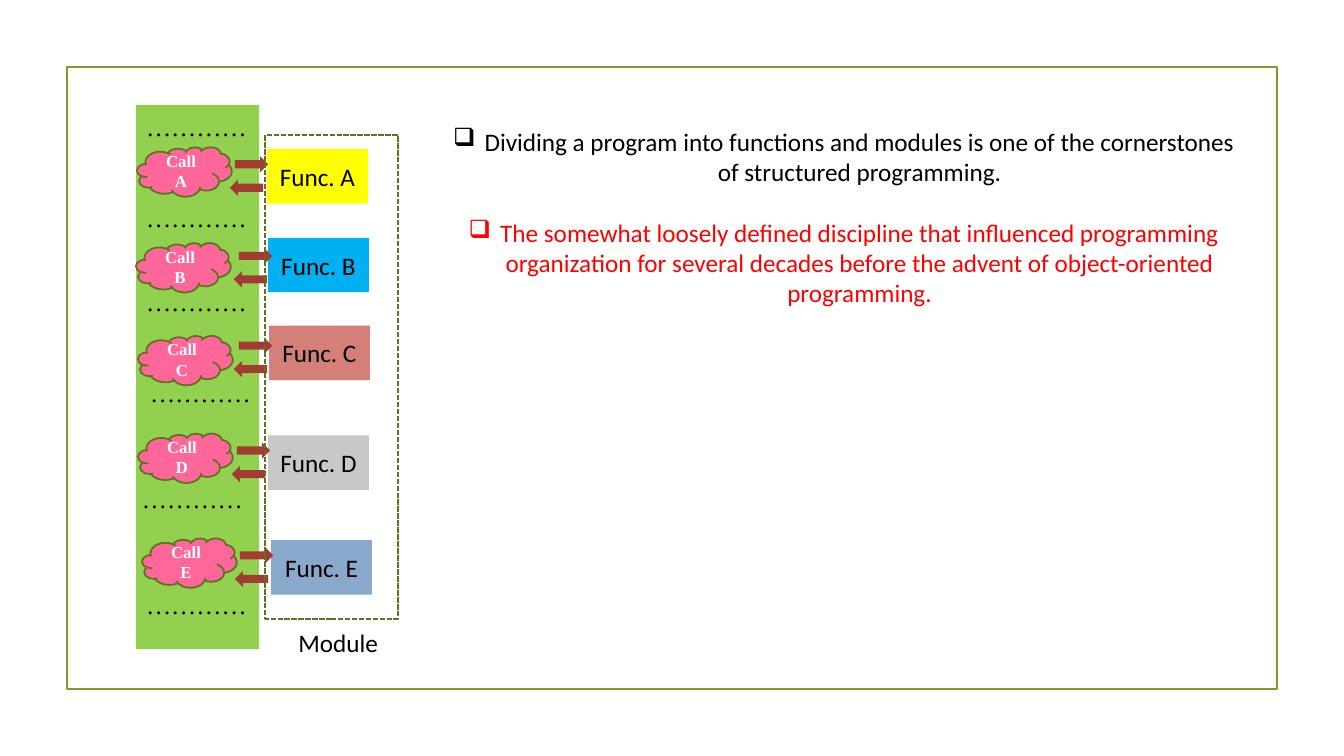
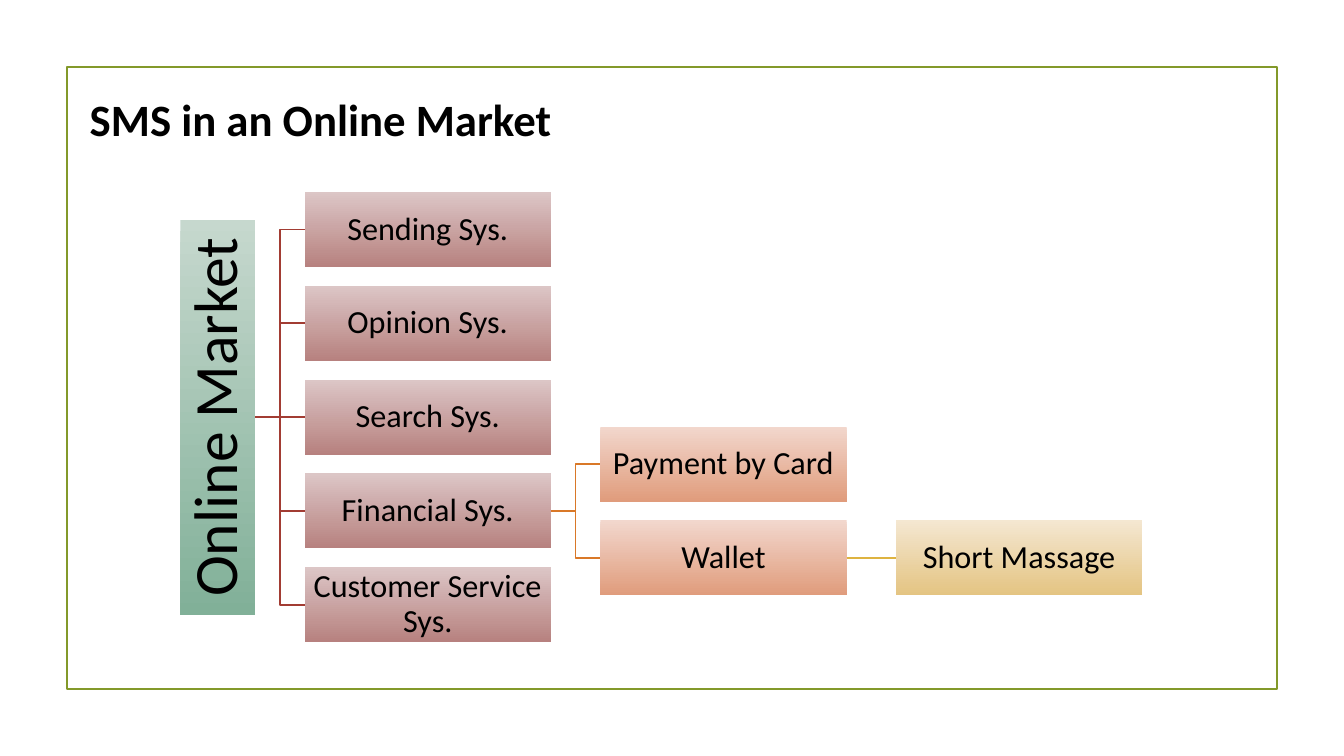
from lxml import etree
from pptx import Presentation
from pptx.dml.color import RGBColor
from pptx.enum.dml import MSO_LINE
from pptx.enum.shapes import MSO_CONNECTOR, MSO_SHAPE
from pptx.enum.text import MSO_ANCHOR, PP_ALIGN
from pptx.oxml.ns import qn
from pptx.util import Pt

RECT, CLOUD = MSO_SHAPE.RECTANGLE, MSO_SHAPE.CLOUD
RIGHT_ARROW, LEFT_ARROW = MSO_SHAPE.RIGHT_ARROW, MSO_SHAPE.LEFT_ARROW
SYS_DASH = MSO_LINE.SQUARE_DOT
LEFT, CENTER = PP_ALIGN.LEFT, PP_ALIGN.CENTER
TOP, MIDDLE = MSO_ANCHOR.TOP, MSO_ANCHOR.MIDDLE
SIDE_LEFT, SIDE_RIGHT = 1, 3

COLORS = {
    "black": "000000", "white": "FFFFFF", "red": "FF0000",
    "frame": "83992A", "olive": "61711F", "program": "92D050",
    "cloud": "FF6699", "brick": "A23C33", "orange": "D97828", "gold": "DEB340",
    "yellow": "FFFF00", "blue": "00B0F0", "rose": "D47F77",
    "gray": "C8C8C8", "steel": "88A9CB",
}
SANS, SERIF = "Calibri", "Times New Roman"
LINE_WIDTH = 1.25
FRAME = (48, 48, 864, 444)

# Slide 1: letter, colour, then left and top of function box, cloud and call arrow
CALLS = [
    ("A", "yellow", (190.8, 106.6), (97.9, 105.1), (167.8, 111.6)),
    ("B", "blue", (191.5, 169.9), (97.2, 173.5), (170.6, 177.1)),
    ("C", "rose", (192.2, 232.6), (98.6, 239.8), (170.6, 241.2)),
    ("D", "gray", (191.5, 311), (98.6, 309.6), (169.2, 316.1)),
    ("E", "steel", (193.7, 385.9), (101.5, 384.5), (171.4, 391)),
]
DOTS = "…………"
DOTS_AT = [(97.2, 75.6), (97.2, 141.1), (97.2, 200.9),
           (100.1, 265.7), (94.3, 342), (97.2, 417.6)]
PROGRAM = (97.2, 75, 88, 388.8)
MODULE = (189.4, 96.5, 95, 345.6)
FUNCTION_SIZE, CLOUD_SIZE = (72, 38.9), (67.7, 35.3)
ARROW_SIZE, DOTS_SIZE = (23.8, 11.5), (87.8, 29)
RETURN_SHIFT = (-3.6, 16.8)
POINTS = [
    ("Dividing a program into functions and modules is one of the "
     "cornerstones of structured programming.", "black"),
    ("The somewhat loosely defined discipline that influenced programming "
     "organization for several decades before the advent of object-oriented "
     "programming.", "red"),
]

# Slide 2: each node is a name and its children
MARKET_TREE = ("Online Market", [
    ("Sending Sys.", []),
    ("Opinion Sys.", []),
    ("Search Sys.", []),
    ("Financial Sys.", [
        ("Payment by Card", []),
        ("Wallet", [("Short Massage", [])]),
    ]),
    ("Customer Service Sys.", []),
])
# Per level: gradient start and end, colour of the link from the parent
LEVELS = [
    ("C6D8CE", "81B098", None),
    ("DCC6C6", "B7817F", "brick"),
    ("F2D7CD", "E09C7C", "orange"),
    ("F4E7D1", "E4C482", "gold"),
]
ROOT_LEFT, ROOT_HEIGHT, TREE_MIDDLE = 128.8, 282.2, 298
NODE_WIDTH, NODE_HEIGHT = 176, 53.6
LEVEL_GAP, ROW_STEP = 35.2, 67


def rgb(name):
    return RGBColor.from_string(COLORS[name])


def add_shape(page, kind, place, fill=None, line=None, dash=None):
    shape = page.shapes.add_shape(kind, *map(Pt, place))
    shape.shadow.inherit = False
    if fill:
        shape.fill.solid()
        shape.fill.fore_color.rgb = rgb(fill)
    else:
        shape.fill.background()
    if line:
        shape.line.color.rgb = rgb(line)
        shape.line.width = Pt(LINE_WIDTH)
        if dash:
            shape.line.dash_style = dash
    else:
        shape.line.fill.background()
    return shape


def add_text(box, text, *, size=18, font=SANS, color="black", bold=False,
             align=CENTER, anchor=MIDDLE, inset=None, spacing=None,
             before=None, bullet=None, indent=22.5):
    """Fill the box's empty first paragraph, or append a further one."""
    frame = box.text_frame
    para = frame.add_paragraph() if frame.text else frame.paragraphs[0]
    frame.word_wrap = True
    frame.vertical_anchor = anchor
    if inset is not None:
        frame.margin_left = frame.margin_right = Pt(inset)
        frame.margin_top = frame.margin_bottom = Pt(inset)
    if bullet:
        props = para._p.get_or_add_pPr()
        props.set("marL", str(Pt(indent)))
        props.set("indent", str(-Pt(indent)))
        etree.SubElement(props, qn("a:buChar")).set("char", bullet)
    para.alignment = align
    if spacing:
        para.line_spacing = spacing
    if before:
        para.space_before = Pt(before)
    span = para.add_run()
    span.text = text
    span.font.name = font
    span.font.size = Pt(size)
    span.font.bold = bold
    span.font.color.rgb = rgb(color)


def add_text_box(page, place):
    return page.shapes.add_textbox(*map(Pt, place))


def add_page(deck):
    page = deck.slides.add_slide(deck.slide_layouts[6])
    add_shape(page, RECT, FRAME, line="frame")
    return page


def build_functions_page(deck):
    page = add_page(deck)
    add_shape(page, RECT, PROGRAM, fill="program")
    for spot in DOTS_AT:
        add_text(add_text_box(page, spot + DOTS_SIZE), DOTS,
                 font=SERIF, align=LEFT, anchor=TOP)
    for letter, color, function_at, cloud_at, arrow_at in CALLS:
        function = add_shape(page, RECT, function_at + FUNCTION_SIZE, fill=color)
        add_text(function, f"Func. {letter}")
        return_at = tuple(a + b for a, b in zip(arrow_at, RETURN_SHIFT))
        add_shape(page, RIGHT_ARROW, arrow_at + ARROW_SIZE, fill="brick")
        add_shape(page, LEFT_ARROW, return_at + ARROW_SIZE, fill="brick")
        cloud = add_shape(page, CLOUD, cloud_at + CLOUD_SIZE,
                          fill="cloud", line="olive")
        add_text(cloud, f"Call {letter}", size=12, font=SERIF,
                 color="white", bold=True)
    add_shape(page, RECT, MODULE, line="olive", dash=SYS_DASH)
    add_text(add_text_box(page, (206, 444.2, 78.5, 29)), "Module",
             align=LEFT, anchor=TOP)
    points_box = add_text_box(page, (308.2, 86.4, 589, 138.2))
    for index, (text, color) in enumerate(POINTS):
        add_text(points_box, text, color=color, anchor=TOP, bullet="❑",
                 before=22 if index else None)


def link(page, parent, child, color, straight):
    kind = MSO_CONNECTOR.STRAIGHT if straight else MSO_CONNECTOR.ELBOW
    line = page.shapes.add_connector(kind, 0, 0, 0, 0)
    line.begin_connect(parent, SIDE_RIGHT)
    line.end_connect(child, SIDE_LEFT)
    line.line.color.rgb = rgb(color)
    line.line.width = Pt(LINE_WIDTH)
    etree.SubElement(line._element.spPr, qn("a:effectLst"))


def add_branch(page, node, level=0, left=ROOT_LEFT, middle=TREE_MIDDLE):
    """Draw a node, then its children centred on it one level to the right."""
    name, children = node
    is_root = level == 0
    width, height = ((NODE_HEIGHT, ROOT_HEIGHT) if is_root
                     else (NODE_WIDTH, NODE_HEIGHT))
    box = add_shape(page, RECT, (left, middle - height / 2, width, height))
    box.fill.gradient()
    box.fill.gradient_angle = 270
    for stop, color in zip(box.fill.gradient_stops, LEVELS[level]):
        stop.color.rgb = RGBColor.from_string(color)
    add_text(box, name, size=44 if is_root else 23,
             inset=2 if is_root else 1.5, spacing=0.9)
    if is_root:
        box.text_frame._txBody.bodyPr.set("vert", "vert270")
    for index, child in enumerate(children):
        offset = (index - (len(children) - 1) / 2) * ROW_STEP
        child_box = add_branch(page, child, level + 1,
                               left + width + LEVEL_GAP, middle + offset)
        link(page, box, child_box, LEVELS[level + 1][2], offset == 0)
    return box


def build_market_page(deck):
    page = add_page(deck)
    add_text(add_text_box(page, (57, 62, 584.6, 46)), "SMS in an Online Market",
             size=32, bold=True, align=LEFT, anchor=TOP)
    add_branch(page, MARKET_TREE)


def main():
    deck = Presentation()
    deck.slide_width, deck.slide_height = Pt(960), Pt(540)
    build_functions_page(deck)
    build_market_page(deck)
    deck.save("out.pptx")


if __name__ == "__main__":
    main()
